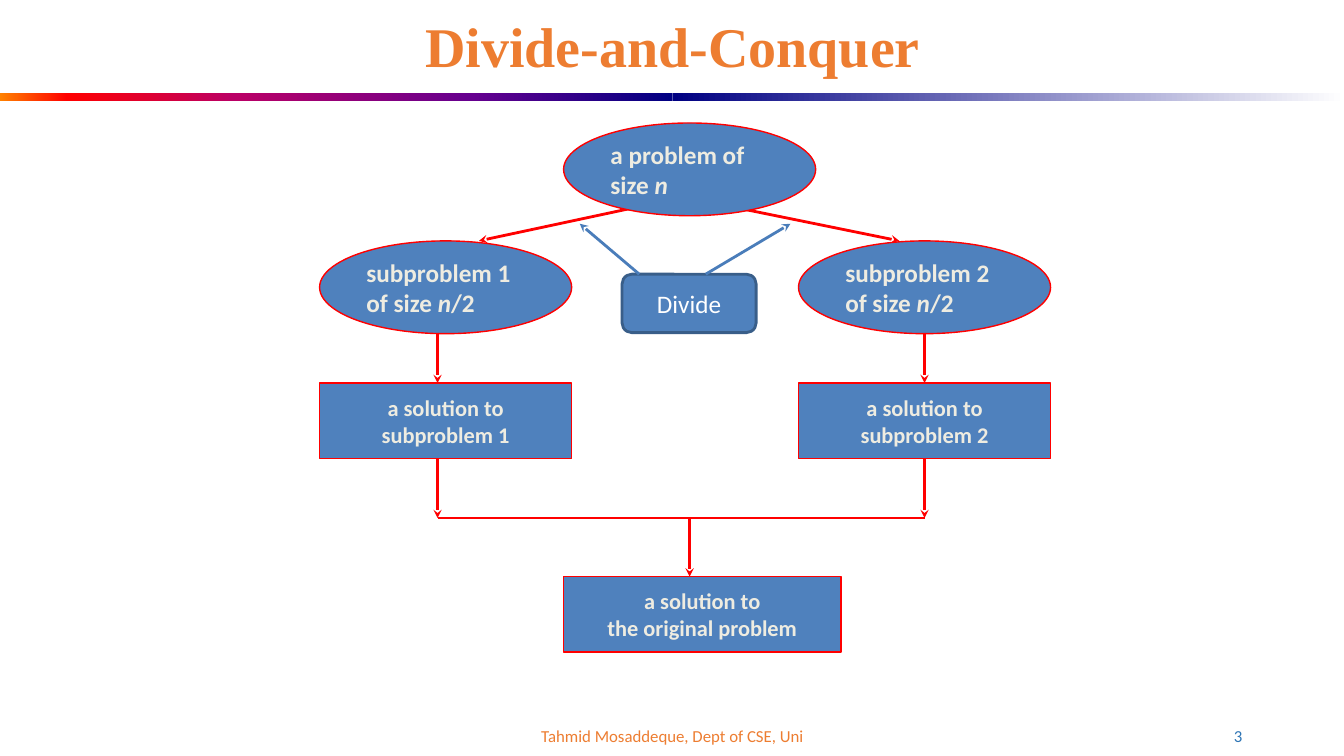
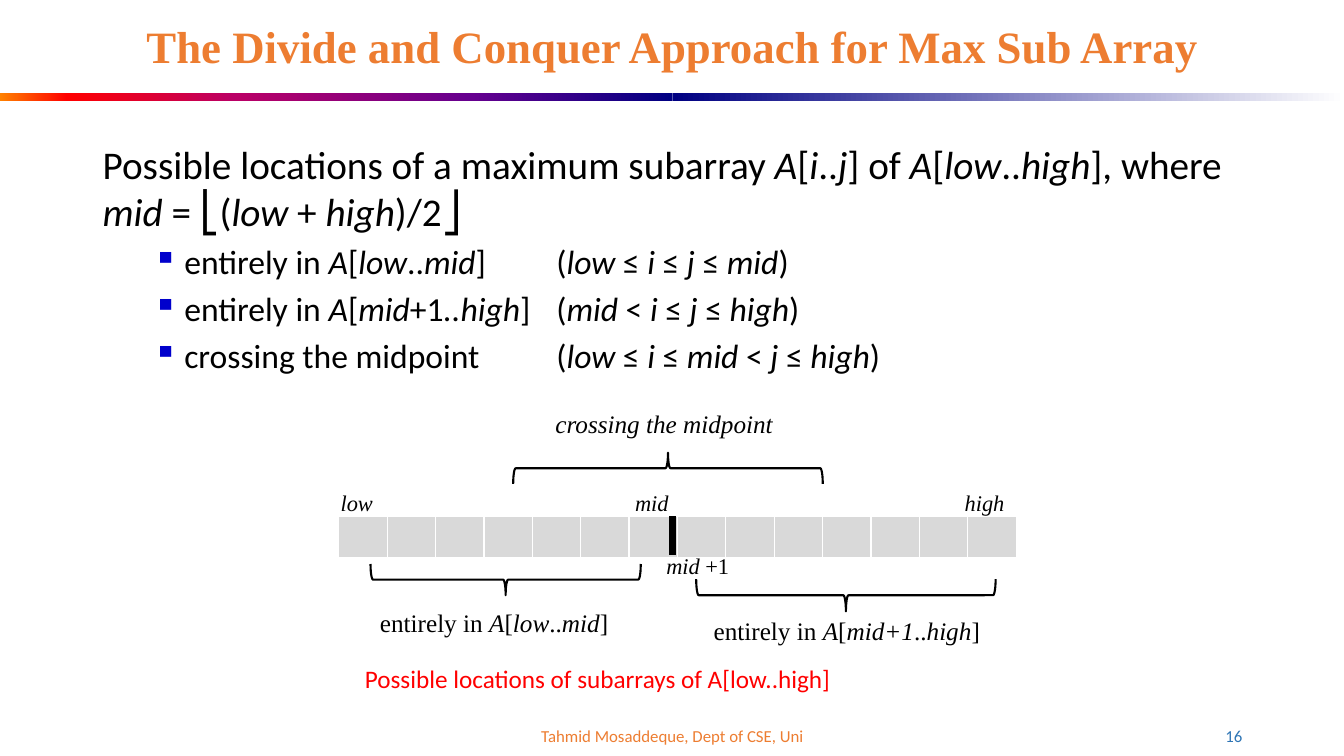
from lxml.etree import SubElement
from pptx import Presentation
from pptx.dml.color import RGBColor
from pptx.enum.shapes import MSO_CONNECTOR, MSO_SHAPE
from pptx.enum.text import MSO_ANCHOR, PP_ALIGN
from pptx.oxml.ns import qn
from pptx.oxml.xmlchemy import OxmlElement
from pptx.util import Inches, Pt

ORANGE = RGBColor(0xED, 0x7D, 0x31)
PAGE_BLUE = RGBColor(0x2E, 0x75, 0xB5)
NODE_BLUE = RGBColor(0x4F, 0x81, 0xBD)
EDGE_BLUE = RGBColor(0x39, 0x5E, 0x89)
ARROW_BLUE = RGBColor(0x4A, 0x7D, 0xBA)
CREAM = RGBColor(0xEE, 0xEC, 0xE1)
GREY = RGBColor(0xD9, 0xD9, 0xD9)
RED = RGBColor(0xFF, 0x00, 0x00)
WHITE = RGBColor(0xFF, 0xFF, 0xFF)
BLACK = RGBColor(0x00, 0x00, 0x00)
SANS, SERIF = "Calibri", "Times New Roman"
BANDS = [
    [(0, "FF8200"), (10, "FF0000"), (35, "BA0066"), (70, "66008F"), (100, "000082")],
    [(0, "000082"), (100, "FFFFFF")],
]


def write(shape, lines, size, color, font=SANS, bold=False,
          align=PP_ALIGN.LEFT, anchor=MSO_ANCHOR.MIDDLE):
    """Fill a shape with lines of text; *stars* enclose italics."""
    frame = shape.text_frame
    frame.word_wrap = True
    frame.vertical_anchor = anchor
    for index, line in enumerate(lines):
        paragraph = frame.add_paragraph() if index else frame.paragraphs[0]
        paragraph.alignment = align
        paragraph.font.name = font
        paragraph.font.size = Pt(size)
        paragraph.font.bold = bold
        paragraph.font.color.rgb = color
        for position, piece in enumerate(line.split("*")):
            if piece:
                run = paragraph.add_run()
                run.text = piece
                if position % 2:
                    run.font.italic = True
    return frame


def connect(slide, x1, y1, x2, y2, color=RED, width=2, arrow=True):
    line = slide.shapes.add_connector(
        MSO_CONNECTOR.STRAIGHT, Inches(x1), Inches(y1), Inches(x2), Inches(y2))
    line.line.color.rgb = color
    line.line.width = Pt(width)
    if arrow:
        SubElement(line.line._get_or_add_ln(), qn("a:tailEnd"), type="stealth")
    SubElement(line._element.spPr, qn("a:effectLst"))


prs = Presentation()
prs.slide_width, prs.slide_height = Inches(13.33), Inches(7.5)

# Shared frame: gradient band, title, footer, page number
slides = []
for title, title_size, number in [
    ("Divide-and-Conquer", 40, "3"),
    ("The Divide and Conquer Approach for Max Sub Array", 32, "16"),
]:
    slide = prs.slides.add_slide(prs.slide_layouts[6])
    slides.append(slide)
    for half, stops in enumerate(BANDS):
        band = slide.shapes.add_shape(
            MSO_SHAPE.RECTANGLE, Inches(6.67 * half), Inches(0.92), Inches(6.67), Inches(0.08))
        band.shadow.inherit = False
        band.line.fill.background()
        band.fill.gradient()
        band.fill.gradient_angle = 0
        stop_list = band._element.spPr.find(qn("a:gradFill")).find(qn("a:gsLst"))
        stop_list.clear()
        for percent, color in stops:
            stop = SubElement(stop_list, qn("a:gs"), pos=str(percent * 1000))
            SubElement(stop, qn("a:srgbClr"), val=color)
    heading = slide.shapes.add_textbox(Inches(0.92), Inches(0.16), Inches(11.5), Inches(0.66))
    write(heading, [title], title_size, ORANGE, SERIF, True, PP_ALIGN.CENTER)
    heading.text_frame.paragraphs[0].line_spacing = 0.9
    for text, left, width, color, align in [
        ("Tahmid Mosaddeque, Dept of CSE, Uni", 4.42, 4.5, ORANGE, PP_ALIGN.CENTER),
        (number, 9.42, 3, PAGE_BLUE, PP_ALIGN.RIGHT),
    ]:
        footer = slide.shapes.add_textbox(Inches(left), Inches(7.1), Inches(width), Inches(0.4))
        write(footer, [text], 12, color, align=align)

tree, array = slides

# Tree: arrows from the problem, then the nodes
connect(tree, 6.34, 2.05, 4.75, 2.39)
connect(tree, 7.25, 2.05, 8.92, 2.39)
LEFT, CENTER = PP_ALIGN.LEFT, PP_ALIGN.CENTER
OVAL, BOX = MSO_SHAPE.OVAL, MSO_SHAPE.RECTANGLE
nodes = [
    (OVAL, 5.59, 1.22, 2.5, 0.92, ["a problem of size *n*"], 18, LEFT),
    (BOX, 5.59, 5.72, 2.75, 0.75, ["a solution to", "the original problem"], 16, CENTER),
]
for part, left in [(1, 3.17), (2, 7.92)]:
    name = f"subproblem {part}"
    nodes += [
        (OVAL, left, 2.39, 2.5, 0.92, [name, "of size *n*/2"], 18, LEFT),
        (BOX, left, 3.8, 2.5, 0.75, ["a solution to", name], 16, CENTER),
    ]
for kind, left, top, width, height, lines, size, align in nodes:
    node = tree.shapes.add_shape(kind, Inches(left), Inches(top), Inches(width), Inches(height))
    node.shadow.inherit = False
    node.fill.solid()
    node.fill.fore_color.rgb = NODE_BLUE
    node.line.color.rgb = RED
    node.line.width = Pt(1)
    write(node, lines, size, CREAM, bold=True, align=align)

# Tree: solve and combine arrows
for x in (4.34, 9.17):
    connect(tree, x, 3.3, x, 3.8)
    connect(tree, x, 4.55, x, 5.14)
connect(tree, 4.34, 5.14, 9.17, 5.14, arrow=False)
connect(tree, 6.84, 5.14, 6.84, 5.72)

# Tree: divide callout
divide = tree.shapes.add_shape(
    MSO_SHAPE.ROUNDED_RECTANGLE, Inches(6.17), Inches(2.72), Inches(1.33), Inches(0.58))
divide.shadow.inherit = False
divide.fill.solid()
divide.fill.fore_color.rgb = NODE_BLUE
divide.line.color.rgb = EDGE_BLUE
divide.line.width = Pt(2)
write(divide, ["Divide"], 18, WHITE, align=CENTER)
connect(tree, 6.34, 2.72, 5.75, 2.22, ARROW_BLUE)
connect(tree, 7, 2.72, 7.84, 2.22, ARROW_BLUE)

# Array: the three cases
cases = array.shapes.add_textbox(Inches(0.92), Inches(1.34), Inches(11.5), Inches(2.82))
cases_frame = write(cases, [
    "Possible locations of a maximum subarray *A*[*i*..*j*] of *A*[*low*..*high*], where "
    "*mid* = ⎣(*low *+ *high*)/2⎦",
    "entirely in *A*[*low*..*mid*] \t\t(*low* ≤ *i *≤ *j *≤ *mid*)",
    "entirely in *A*[*mid*+1*..high*] \t(*mid* < *i *≤ *j *≤ *high*)",
    "crossing the midpoint \t\t(*low* ≤ *i *≤ *mid* < *j *≤ *high*)",
], 28, BLACK, anchor=MSO_ANCHOR.TOP)
for case in cases_frame.paragraphs[1:]:
    case.level = 1
    case.font.size = Pt(24)
    case.space_before = Pt(4.8)
    properties = case._p.get_or_add_pPr()
    properties.set("marL", str(Inches(0.81)))
    properties.set("indent", str(Inches(-0.31)))
    bullet_color = OxmlElement("a:buClr")
    SubElement(bullet_color, qn("a:srgbClr"), val="0000CC")
    bullet = OxmlElement("a:buChar")
    bullet.set("char", "▪")
    for element in (bullet_color, bullet):
        properties.find(qn("a:defRPr")).addprevious(element)

# Array: cells and midpoint mark
CELLS = 14
cells = array.shapes.add_table(
    1, CELLS, Inches(3.36), Inches(5.12), Inches(0.48 * CELLS), Inches(0.41)).table
for column in cells.columns:
    column.width = Inches(0.48)
for cell in cells.iter_cells():
    cell.fill.solid()
    cell.fill.fore_color.rgb = GREY
connect(array, 6.67, 5.12, 6.67, 5.51, BLACK, 4.5, arrow=False)

# Array: labels
for text, left, top, width, size, font, color in [
    ("*low*", 3.28, 4.8, 0.8, 16, SERIF, BLACK),
    ("*mid*", 6.2, 4.8, 0.8, 16, SERIF, BLACK),
    ("*high*", 9.47, 4.8, 0.8, 16, SERIF, BLACK),
    ("*mid *+1", 6.51, 5.43, 1.18, 16, SERIF, BLACK),
    ("entirely in *A*[*low*..*mid*]", 3.67, 5.98, 2.49, 18, SERIF, BLACK),
    ("entirely in *A*[*mid+1*..*high*]", 6.98, 6.06, 2.87, 18, SERIF, BLACK),
    ("*crossing the midpoint*", 5.41, 4, 2.52, 18, SERIF, BLACK),
    ("Possible locations of subarrays of A[low..high]", 3.52, 6.53, 6.38, 18, SANS, RED),
]:
    label = array.shapes.add_textbox(Inches(left), Inches(top), Inches(width), Inches(0.4))
    write(label, [text], size, color, font, anchor=MSO_ANCHOR.TOP)

# Array: braces over and under the cells
for left, top, width, height, rotation in [
    (6.47, 3.11, 0.31, 3.07, 90),
    (4.86, 4.41, 0.31, 2.68, 270),
    (8.23, 4.42, 0.32, 2.97, 270),
]:
    brace = array.shapes.add_shape(
        MSO_SHAPE.LEFT_BRACE, Inches(left), Inches(top), Inches(width), Inches(height))
    brace.shadow.inherit = False
    brace.rotation = rotation
    brace.adjustments[0] = 0.08
    brace.adjustments[1] = 0.5
    brace.fill.background()
    brace.line.color.rgb = BLACK
    brace.line.width = Pt(1.5)

prs.save("out.pptx")
